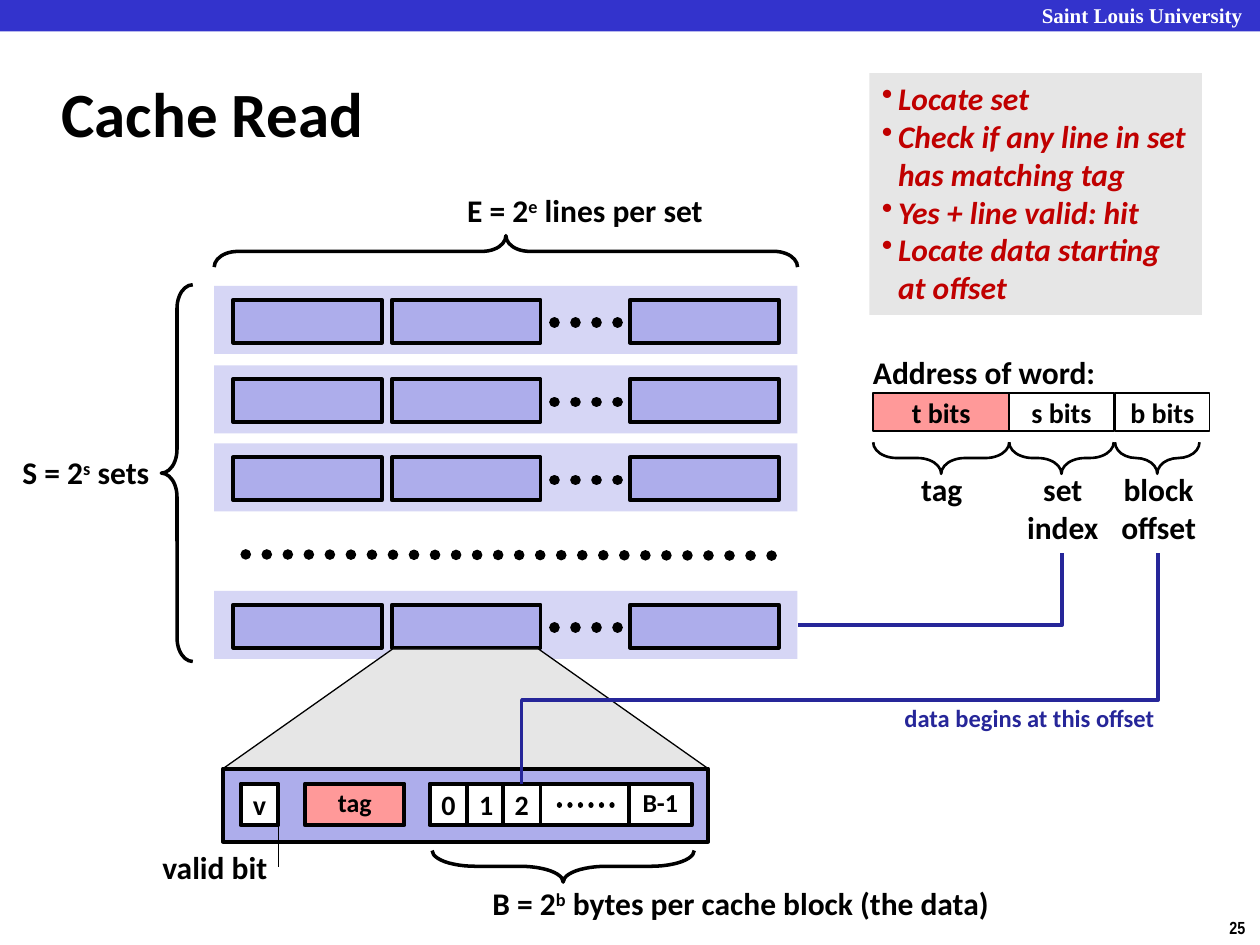
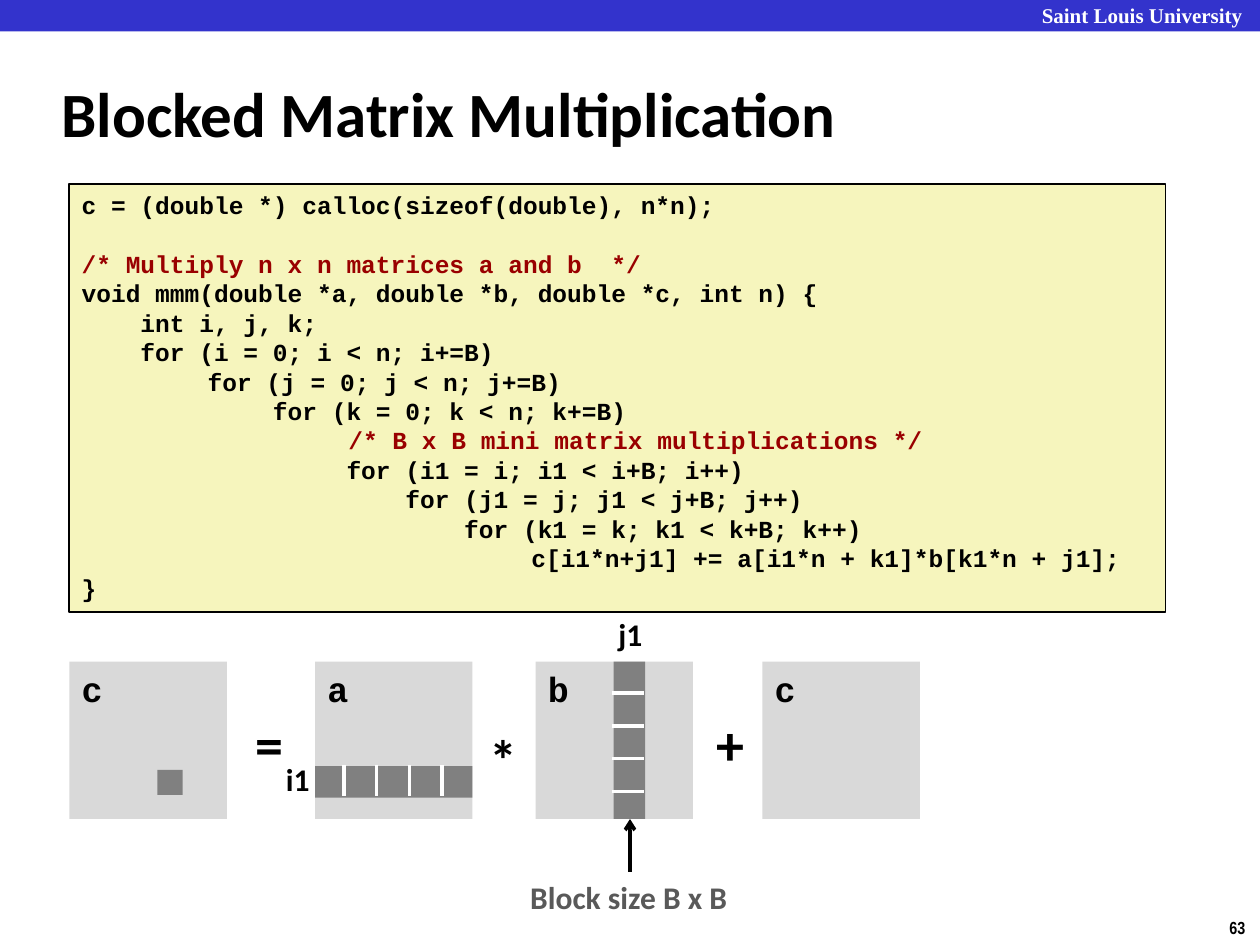
"""Build two lecture slides on cache reads and blocked matrix multiplication."""
from lxml.etree import SubElement
from pptx import Presentation
from pptx.dml.color import RGBColor
from pptx.enum.dml import MSO_LINE
from pptx.enum.shapes import MSO_CONNECTOR as Link, MSO_SHAPE as Preset
from pptx.enum.text import MSO_ANCHOR as Anchor, MSO_AUTO_SIZE as Fit, PP_ALIGN as Align
from pptx.oxml.ns import qn
from pptx.util import Inches, Pt

COLUMNS, ROWS = 10, 7.5
COLORS = {
    "black": "000000", "white": "FFFFFF", "band": "3333CC", "set": "D6D6F5",
    "line": "ADADEB", "tag": "FF9999", "panel": "E6E6E6", "path": "262699",
    "step": "C00000", "code": "F6F5BD", "comment": "990000",
    "matrix": "D9D9D9", "block": "808080", "caption": "595959",
}
STEPS = ("Locate set", "Check if any line in set\nhas matching tag",
         "Yes + line valid: hit", "Locate data starting\nat offset")
CODE = (
    "c = (double *) calloc(sizeof(double), n*n);",
    "/* Multiply n x n matrices a and b  */",
    "void mmm(double *a, double *b, double *c, int n) {",
    "    int i, j, k;",
    "    for (i = 0; i < n; i+=B)",
    "\tfor (j = 0; j < n; j+=B)",
    "             for (k = 0; k < n; k+=B)",
    "\t\t /* B x B mini matrix multiplications */",
    "                  for (i1 = i; i1 < i+B; i++)",
    "                      for (j1 = j; j1 < j+B; j++)",
    "                          for (k1 = k; k1 < k+B; k++)",
    "\t                      c[i1*n+j1] += a[i1*n + k1]*b[k1*n + j1];",
    "}",
)


def grid(*cells):
    """Turn columns and rows of the slide grid into lengths."""
    return [Inches(cell) for cell in cells]


def rgb(name):
    """Look up a named colour."""
    return RGBColor.from_string(COLORS[name])


def write(box, text, size=18, font="Calibri", color="black", italic=False,
          align=Align.LEFT, anchor=Anchor.TOP, wrap=False, grow=False, spacing=None,
          bullet=None, tabs=(), gaps=None, comment=None):
    """Fill a box with one line or several; ^ marks start and end superscripts."""
    frame = box.text_frame
    frame.word_wrap, frame.vertical_anchor = wrap, anchor
    if grow:
        frame.auto_size = Fit.SHAPE_TO_FIT_TEXT
    lines = (text,) if isinstance(text, str) else text
    for index, line in enumerate(lines):
        para = frame.add_paragraph() if index else frame.paragraphs[0]
        format_paragraph(para, bullet, tabs)
        para.alignment = align
        if spacing:
            para.line_spacing = spacing
        if gaps and index in gaps:
            para.space_before = Pt(gaps[index])
        shade = comment if comment and line.strip().startswith("/*") else color
        for row, part in enumerate(line.split("\n")):
            if row:
                para.add_line_break()
            for order, piece in enumerate(part.split("^")):
                span = para.add_run()
                span.text = piece
                span.font.size, span.font.name = Pt(size), font
                span.font.bold, span.font.italic = True, italic
                span.font.color.rgb = rgb(shade)
                if order % 2:
                    span.font._element.set("baseline", "30000")


def format_paragraph(para, bullet, tabs):
    """Add a hanging bullet or tab stops to a paragraph."""
    properties = para._p.get_or_add_pPr()
    if bullet:
        properties.set("marL", str(Inches(0.13)))
        properties.set("indent", str(-Inches(0.13)))
        SubElement(properties, qn("a:buChar")).set("char", bullet)
    if tabs:
        stops = SubElement(properties, qn("a:tabLst"))
        for stop in tabs:
            SubElement(stops, qn("a:tab"), pos=str(Inches(stop)), algn="l")


def label(slide, cells, text, **style):
    """Add a text box."""
    box = slide.shapes.add_textbox(*grid(*cells))
    write(box, text, **{"grow": True, **style})


def shape(slide, cells, fill=None, line=None, preset=Preset.RECTANGLE, adjust=(),
          text=None, **style):
    """Add a preset shape with an optional fill, outline width and text."""
    box = slide.shapes.add_shape(preset, *grid(*cells))
    box.shadow.inherit = False
    for index, value in enumerate(adjust):
        box.adjustments[index] = value
    if fill:
        box.fill.solid()
        box.fill.fore_color.rgb = rgb(fill)
    else:
        box.fill.background()
    if line:
        box.line.color.rgb, box.line.width = rgb("black"), Pt(line)
    else:
        box.line.fill.background()
    if text:
        write(box, text, **style)
    return box


def cell(slide, cells, fill, text=None, line=2.25, size=16, **style):
    """Add an outlined box with centred text."""
    shape(slide, cells, fill, line, text=text, size=size, align=Align.CENTER,
          anchor=Anchor.MIDDLE, **style)


def brace(slide, left, top, width, height, rotation=0, line=2, bend=0.75):
    """Add a brace that covers the given area once it is turned."""
    if rotation:
        left, top = left + (width - height) / 2, top + (height - width) / 2
        width, height = height, width
    turned = shape(slide, (left, top, width, height), line=line,
                   preset=Preset.LEFT_BRACE, adjust=(bend, 0.5))
    turned.rotation = rotation


def connect(slide, start, end, color="black", width=2.0, kind=Link.STRAIGHT,
            dotted=False, arrow=False):
    """Add a connector without shadow."""
    link = slide.shapes.add_connector(kind, *grid(*start, *end))
    link.line.color.rgb, link.line.width = rgb(color), Pt(width)
    properties = link.element.spPr
    outline = properties.find(qn("a:ln"))
    if dotted:
        link.line.dash_style = MSO_LINE.ROUND_DOT
        outline.set("cap", "rnd")
    if arrow:
        SubElement(outline, qn("a:tailEnd"), type="arrow")
    SubElement(properties, qn("a:effectLst"))
    return link


def elbow(slide, start, end, preset, turn=None):
    """Add a bent connector that leaves its start downwards and runs to the left."""
    (right, top), (left, bottom) = start, end
    middle_x, middle_y = (left + right) / 2, (top + bottom) / 2
    half_w, half_h = (bottom - top) / 2, (right - left) / 2
    link = connect(slide, (middle_x - half_w, middle_y - half_h),
                   (middle_x + half_w, middle_y + half_h), "path", kind=Link.ELBOW)
    link.element.spPr.find(qn("a:xfrm")).set("rot", str(90 * 60000))
    geometry = link.element.spPr.find(qn("a:prstGeom"))
    geometry.set("prst", preset)
    if turn:
        SubElement(geometry.find(qn("a:avLst")), qn("a:gd"), name="adj1",
                   fmla=f"val {round(turn * 100000)}")


def start_slide(deck, title, number):
    """Add a slide with the shared band, title and page number."""
    slide = deck.slides.add_slide(deck.slide_layouts[6])
    shape(slide, (0, 0, COLUMNS, 0.25), "band")
    label(slide, (8.17, -0.03, 1.9, 0.3), "Saint Louis University", size=12,
          font="Times New Roman", color="white", wrap=True)
    label(slide, (9.66, 7.23, 0.34, 0.27), number, size=10, font="Arial Narrow")
    label(slide, (0.39, 0.48, 8.3, 0.83), title, size=36, anchor=Anchor.MIDDLE,
          wrap=True, grow=False)
    return slide


def cache_set(slide, top):
    """Add one set: a band with three lines and dots before the last."""
    shape(slide, (1.7, top, 4.63, 0.54), "set")
    for step in (0, 1, 2.5):
        cell(slide, (1.85 + 1.26 * step, top + 0.11, 1.18, 0.34), "line")
    connect(slide, (4.4, top + 0.29), (5.01, top + 0.29), width=6, dotted=True)


def cache_block(slide):
    """Add the enlarged cache line with its fields."""
    shape(slide, (1.77, 5.15, 3.85, 0.95), "panel", 0.75, Preset.TRAPEZOID, (1.418,))
    cell(slide, (1.77, 6.1, 3.85, 0.58), "line")
    fields = (
        (3.41, 0.3, "white", "0", {}), (3.71, 0.3, "white", "1", {}),
        (3.99, 0.3, "white", "2", {}),
        (4.99, 0.5, "white", "B-1", {"size": 14.8, "spacing": 0.9}),
        (4.29, 0.7, "white", None, {}),
        (2.42, 0.79, "tag", "tag", {"size": 14.8, "spacing": 0.9}),
        (1.91, 0.3, "white", "v", {}),
    )
    for left, width, fill, text, style in fields:
        cell(slide, (left, 6.22, width, 0.33), fill, text, **style)
    connect(slide, (4.44, 6.39), (4.94, 6.39), width=3, dotted=True)
    label(slide, (1.19, 6.68, 1.04, 0.4), "valid bit")
    connect(slide, (2.21, 6.88), (2.21, 6.55), width=0.75)
    brace(slide, 3.43, 6.75, 2.08, 0.25, 270, bend=1.37)
    label(slide, (3.81, 6.97, 4.19, 0.4), "B = 2^b^ bytes per cache block (the data)")


def word_address(slide):
    """Add the address fields with braces and names below."""
    label(slide, (6.83, 2.75, 1.98, 0.4), "Address of word:")
    parts = (
        (6.93, 1.08, 1.08, "tag", "t bits", (7.21, 0.53, 0.4), "tag"),
        (8.01, 0.83, 0.83, "white", "s bits", (8.05, 0.77, 0.71), ("set", "index")),
        (8.85, 0.75, 0.67, "white", "b bits", (8.79, 0.81, 0.71), ("block", "offset")),
    )
    for left, width, span, fill, bits, (name_left, name_width, height), name in parts:
        cell(slide, (left, 3.12, width, 0.3), fill, bits, line=1, wrap=True)
        brace(slide, left, 3.51, span, 0.25, 270, line=1.5)
        label(slide, (name_left, 3.68, name_width, height), name, align=Align.CENTER)


def cache_read(deck):
    """Build the slide on reading from a cache."""
    slide = start_slide(deck, "Cache Read", "25")
    brace(slide, 1.7, 1.87, 4.63, 0.25, 90)
    brace(slide, 1.28, 2.26, 0.25, 2.99)
    label(slide, (3.61, 1.47, 2.14, 0.4), "E = 2^e^ lines per set")
    label(slide, (0.08, 3.55, 1.23, 0.4), "S = 2^s^ sets")
    for top in (2.27, 2.9, 3.52, 4.69):
        cache_set(slide, top)
    connect(slide, (1.95, 4.4), (6.19, 4.41), width=6, dotted=True)
    cache_block(slide)
    word_address(slide)
    elbow(slide, (8.43, 4.39), (6.33, 4.96), "bentConnector2")
    elbow(slide, (9.19, 4.39), (4.14, 6.22), "bentConnector3", 0.638)
    label(slide, (7.08, 5.53, 2.2, 0.34), "data begins at this offset",
          size=14, color="path")
    shape(slide, (6.9, 0.58, 2.64, 1.92), "panel", text=STEPS, color="step",
          italic=True, bullet="•", grow=True)


def blocked_multiplication(deck):
    """Build the slide on blocked matrix multiplication."""
    slide = start_slide(deck, "Blocked Matrix Multiplication", "63")
    shape(slide, (0.55, 1.46, 8.7, 3.4), "code", 1, text=CODE, size=14,
          font="Courier New", comment="comment", tabs=(1, 2), gaps={1: 16.8}, wrap=True)
    side, stripe, top = 1.25, 0.25, 5.25
    for left, name in ((0.55, "c"), (2.5, "a"), (4.25, "b"), (6.05, "c")):
        shape(slide, (left, top, side, side), "matrix", text=name, size=20,
              font="Courier New", wrap=True)
    for left, row, sign in ((1.93, 5.58, "="), (3.79, 5.7, "*"), (5.59, 5.58, "+")):
        label(slide, (left, row, 0.43, 0.64), sign, size=32)
    label(slide, (2.17, 5.98, 0.39, 0.4), "i1")
    label(slide, (4.81, 4.83, 0.39, 0.4), "j1")
    shape(slide, (1.25, 6.11, 0.2, 0.2), "block")
    shape(slide, (2.5, 6.08, side, stripe), "block")
    shape(slide, (4.87, top, stripe, side), "block")
    for index in range(4):
        cut = 0.26 * index
        connect(slide, (2.73 + cut, 6.07), (2.73 + cut, 6.32), "white")
        connect(slide, (5.11, 5.5 + cut), (4.86, 5.5 + cut), "white")
    label(slide, (4.11, 6.92, 1.78, 0.4), "Block size B x B", color="caption")
    connect(slide, (5, 6.92), (5, top + side), arrow=True)


def main():
    """Build and save the deck."""
    deck = Presentation()
    deck.slide_width, deck.slide_height = grid(COLUMNS, ROWS)
    cache_read(deck)
    blocked_multiplication(deck)
    deck.save("out.pptx")


if __name__ == "__main__":
    main()
